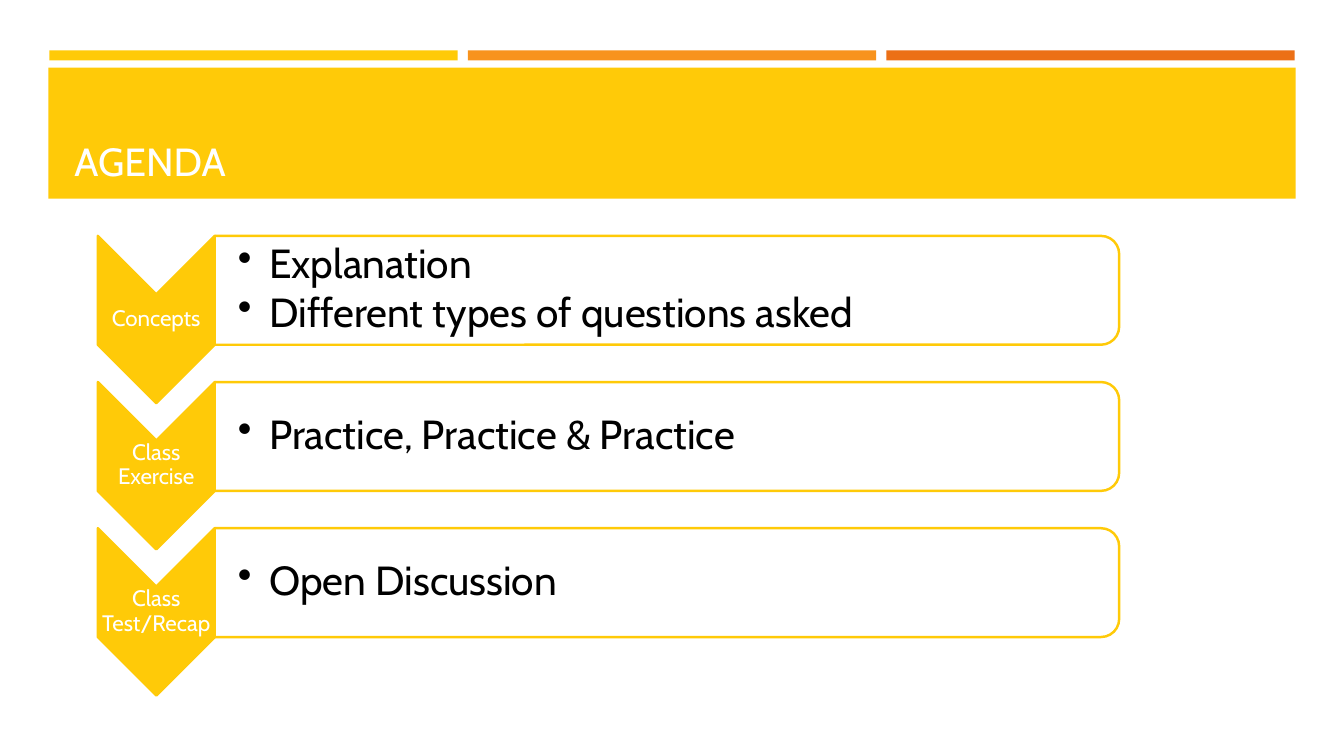
from lxml import etree
from pptx import Presentation
from pptx.dml.color import RGBColor
from pptx.enum.shapes import MSO_SHAPE
from pptx.enum.text import MSO_ANCHOR, PP_ALIGN
from pptx.oxml.ns import qn
from pptx.util import Pt

PX = 9144  # EMU per px, 100 px to the inch
FONT = "Cabin"
COLORS = {
    "yellow": "FFCA08",
    "amber": "F8931D",
    "orange": "EC7016",
    "white": "FFFFFF",
    "black": "000000",
}
RECTANGLE = MSO_SHAPE.RECTANGLE
CHEVRON = MSO_SHAPE.CHEVRON
ROUNDED_END = MSO_SHAPE.ROUND_2_SAME_RECTANGLE
MIDDLE, BOTTOM = MSO_ANCHOR.MIDDLE, MSO_ANCHOR.BOTTOM
LEFT, CENTER = PP_ALIGN.LEFT, PP_ALIGN.CENTER

AGENDA = [
    ("Concepts", ["Explanation", "Different types of questions asked"]),
    ("Class Exercise", ["Practice, Practice & Practice"]),
    ("Class Test/Recap", ["Open Discussion"]),
]


def color(name):
    return RGBColor.from_string(COLORS[name])


def add_block(slide, kind, box, fill, line=None):
    left, top, width, height = (round(length * PX) for length in box)
    shape = slide.shapes.add_shape(kind, left, top, width, height)
    shape.shadow.inherit = False
    shape.fill.solid()
    shape.fill.fore_color.rgb = color(fill)
    if line:
        shape.line.color.rgb = color(line)
        shape.line.width = Pt(1.75)
    else:
        shape.line.fill.background()
    return shape


def add_turned_block(slide, kind, box, fill):
    """Add a shape turned by 90 degrees that covers the given box."""
    left, top, width, height = box
    shift = (width - height) / 2
    unturned = (left + shift, top - shift, height, width)
    shape = add_block(slide, kind, unturned, fill, "yellow")
    shape.rotation = 90


def add_bullet(paragraph, indent):
    properties = paragraph._p.get_or_add_pPr()
    properties.set("marL", str(indent * PX))
    properties.set("indent", str(-indent * PX))
    etree.SubElement(properties, qn("a:buChar")).set("char", "•")


def add_text(slide, box, lines, size, ink, anchor, insets,
             align=LEFT, spacing=1.0, bullet_indent=0):
    text_box = slide.shapes.add_textbox(*(length * PX for length in box))
    frame = text_box.text_frame
    frame.word_wrap = True
    frame.vertical_anchor = anchor
    frame.margin_left, frame.margin_top, frame.margin_right, frame.margin_bottom = (
        inset * PX for inset in insets)
    for index, line in enumerate(lines):
        paragraph = frame.add_paragraph() if index else frame.paragraphs[0]
        paragraph.alignment = align
        paragraph.line_spacing = spacing
        if bullet_indent:
            paragraph.space_after = Pt(4)
            add_bullet(paragraph, bullet_indent)
        run = paragraph.add_run()
        run.text = line
        run.font.name = FONT
        run.font.size = Pt(size)
        run.font.color.rgb = color(ink)


def add_header(slide, box):
    left, top, width, height = box
    bar_width, gap = 405, 10
    for index, fill in enumerate(["yellow", "amber", "orange"]):
        bar_left = left + 1 + index * (bar_width + gap)
        add_block(slide, RECTANGLE, (bar_left, top, bar_width, 10), fill)
    add_block(slide, RECTANGLE, (left, top + 17, width, height - 17), "yellow")
    add_text(slide, (left + 16, top + 27, width - 31, height - 36), ["AGENDA"],
             28, "white", BOTTOM, (10, 5, 10, 5))


def add_agenda_row(slide, box, label, points):
    left, top, width, height = box
    chevron_width = 116
    panel_left, panel_width = left + chevron_width, width - chevron_width
    notch = chevron_width // 2
    add_turned_block(slide, CHEVRON, (left, top, chevron_width, height + notch), "yellow")
    add_text(slide, (left, top + notch, chevron_width, height - notch), [label],
             16, "white", MIDDLE, (1, 1, 1, 1), CENTER, 0.9)
    add_turned_block(slide, ROUNDED_END, (panel_left, top, panel_width, height), "white")
    add_text(slide, (panel_left, top + 5, panel_width - 5, height - 11), points,
             29, "black", MIDDLE, (23, 2, 2, 2), LEFT, 0.9, 31)


def main():
    presentation = Presentation()
    presentation.slide_width = 1333 * PX
    presentation.slide_height = 750 * PX
    slide = presentation.slides.add_slide(presentation.slide_layouts[6])
    add_header(slide, (48, 50, 1237, 147))
    for index, (label, points) in enumerate(AGENDA):
        add_agenda_row(slide, (97, 234 + index * 145, 1013, 108), label, points)
    presentation.save("out.pptx")


if __name__ == "__main__":
    main()
